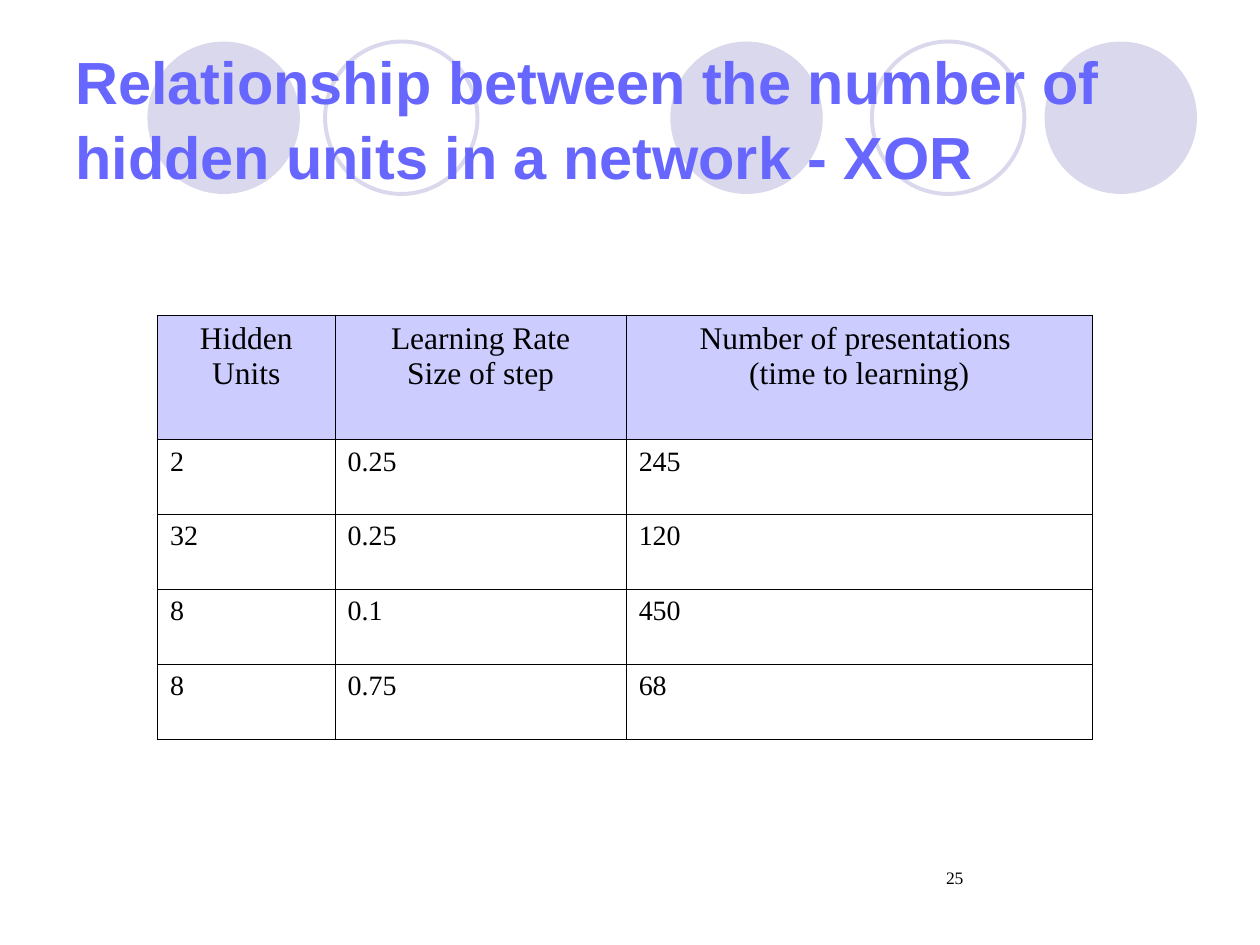
from lxml import etree
from pptx import Presentation
from pptx.dml.color import RGBColor
from pptx.enum.shapes import MSO_SHAPE
from pptx.enum.text import MSO_ANCHOR, PP_ALIGN
from pptx.oxml.ns import qn
from pptx.util import Inches, Pt

OVAL = MSO_SHAPE.OVAL
LEFT, CENTER = PP_ALIGN.LEFT, PP_ALIGN.CENTER
TOP, MIDDLE = MSO_ANCHOR.TOP, MSO_ANCHOR.MIDDLE

CIRCLE_TINT = RGBColor(0xD9, 0xD8, 0xEC)
TITLE_BLUE = RGBColor(0x67, 0x67, 0xFF)
HEADER_FILL = RGBColor(0xCC, 0xCC, 0xFF)
BLACK = RGBColor(0, 0, 0)

HEADERS = ["Hidden Units", "Learning Rate\nSize of step",
           "Number of presentations \n(time to learning)"]
RESULTS = [("2", "0.25", "245"), ("32", "0.25", "120"),
           ("8", "0.1", "450"), ("8", "0.75", "68")]
COLUMN_WIDTHS = [1.41, 2.31, 3.7]
HEADER_HEIGHT, ROW_HEIGHT = 0.99, 0.595


def style_font(para, face, size, color, bold=False):
    font = para.font
    font.name, font.size, font.bold = face, Pt(size), bold
    font.color.rgb = color


def add_text(page, box, text, anchor):
    frame = page.shapes.add_textbox(*map(Inches, box)).text_frame
    frame.word_wrap = True
    frame.vertical_anchor = anchor
    frame.text = text
    return frame.paragraphs[0]


def add_circles(page, box):
    """Row of decorative circles; offsets are from the left of the box."""
    left, top, size = box
    circles = [(0, True), (1.41, False), (4.15, True), (5.75, False), (7.12, True)]
    for offset, solid in circles:
        circle = page.shapes.add_shape(
            OVAL, *map(Inches, (left + offset, top, size, size)))
        circle.shadow.inherit = False
        if solid:
            circle.fill.solid()
            circle.fill.fore_color.rgb = CIRCLE_TINT
            circle.line.fill.background()
        else:
            circle.fill.background()
            circle.line.color.rgb = CIRCLE_TINT
            circle.line.width = Pt(2.25)


def add_title(page, box):
    para = add_text(page, box, "Relationship between the number of "
                    "hidden units in a network - XOR", MIDDLE)
    para.line_spacing = 1.05
    style_font(para, "Arial", 34, TITLE_BLUE, bold=True)


def add_borders(cell):
    properties = cell._tc.get_or_add_tcPr()
    for index, side in enumerate(("a:lnL", "a:lnR", "a:lnT", "a:lnB")):
        line = etree.Element(qn(side), w=str(Pt(0.45)))
        fill = etree.SubElement(line, qn("a:solidFill"))
        etree.SubElement(fill, qn("a:srgbClr"), val=str(BLACK))
        properties.insert(index, line)


def fill_cell(cell, text, is_header):
    cell.text = text
    cell.vertical_anchor = TOP
    if is_header:
        cell.fill.solid()
        cell.fill.fore_color.rgb = HEADER_FILL
    else:
        cell.fill.background()
    for para in cell.text_frame.paragraphs:
        para.alignment = CENTER if is_header else LEFT
        style_font(para, "Times New Roman", 18 if is_header else 16, BLACK)
    add_borders(cell)


def add_results(page, left, top):
    rows = [HEADERS, *RESULTS]
    height = HEADER_HEIGHT + ROW_HEIGHT * len(RESULTS)
    box = (left, top, sum(COLUMN_WIDTHS), height)
    table = page.shapes.add_table(
        len(rows), len(HEADERS), *map(Inches, box)).table
    for column, width in zip(table.columns, COLUMN_WIDTHS):
        column.width = Inches(width)
    for r, values in enumerate(rows):
        table.rows[r].height = Inches(ROW_HEIGHT if r else HEADER_HEIGHT)
        for c, text in enumerate(values):
            fill_cell(table.cell(r, c), text, r == 0)


def add_page_number(page, box):
    para = add_text(page, box, "25", TOP)
    para._p.get_or_add_pPr().set("marL", str(Inches(0.24)))
    style_font(para, "Times New Roman", 10, BLACK)


def main():
    deck = Presentation()
    deck.slide_width, deck.slide_height = Inches(10), Inches(7.5)
    page = deck.slides.add_slide(deck.slide_layouts[6])
    add_circles(page, (1.17, 0.33, 1.21))
    add_title(page, (0.5, 0.3, 9, 1.25))
    add_results(page, 1.25, 2.5)
    add_page_number(page, (7.17, 6.83, 2.33, 0.5))
    deck.save("out.pptx")


if __name__ == "__main__":
    main()
